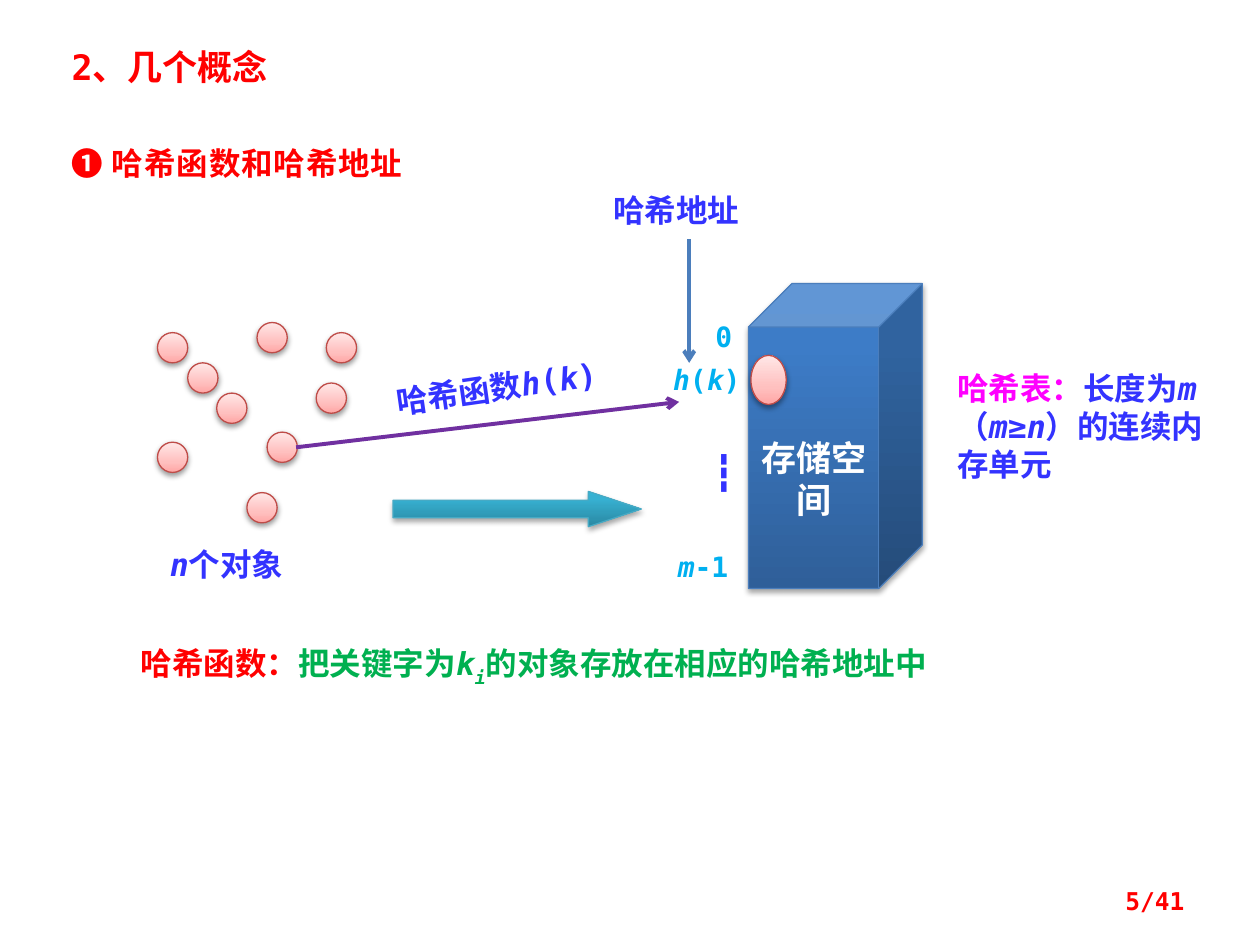
from copy import deepcopy

from lxml.etree import SubElement
from pptx import Presentation
from pptx.dml.color import RGBColor
from pptx.enum.lang import MSO_LANGUAGE_ID
from pptx.enum.shapes import MSO_CONNECTOR, MSO_SHAPE
from pptx.enum.text import MSO_ANCHOR, PP_ALIGN
from pptx.oxml.ns import qn
from pptx.util import Inches, Pt

RED = RGBColor(0xFF, 0x00, 0x00)
GREEN = RGBColor(0x00, 0xB0, 0x50)
BLUE = RGBColor(0x33, 0x33, 0xFF)
SKY = RGBColor(0x00, 0xB0, 0xF0)
MAGENTA = RGBColor(0xFF, 0x00, 0xFF)
PURPLE = RGBColor(0x70, 0x30, 0xA0)
STEEL = RGBColor(0x4B, 0x7E, 0xBC)
TEAL = RGBColor(0x46, 0xAA, 0xC5)
BRICK = RGBColor(0xBF, 0x4C, 0x48)
WHITE = RGBColor(0xFF, 0xFF, 0xFF)

# Gradients run from the bottom of a shape to its top: (position, colour)
TEAL_FADE = [(0, RGBColor(0x2A, 0x88, 0xA2)), (0.8, RGBColor(0x37, 0xB1, 0xD2)),
             (1, RGBColor(0x34, 0xB4, 0xD6))]
BLUE_FADE = [(0, RGBColor(0x2F, 0x5F, 0x99)), (0.8, RGBColor(0x3D, 0x7C, 0xC7)),
             (1, RGBColor(0x3A, 0x7C, 0xCB))]
PINK_FADE = [(0, RGBColor(0xFF, 0xA6, 0xA5)), (0.35, RGBColor(0xFF, 0xC0, 0xBF)),
             (1, RGBColor(0xFF, 0xE7, 0xE7))]


class Board:
    """A slide on a grid of 100 columns by 75 rows, with one text style."""
    FONT = "DejaVu Sans Mono"
    COLUMNS, ROWS = 100, 75

    def __init__(self, deck):
        self.cell_width = deck.slide_width / self.COLUMNS
        self.cell_height = deck.slide_height / self.ROWS
        self.shapes = deck.slides.add_slide(deck.slide_layouts[6]).shapes

    def grid(self, *lengths):
        """Columns and rows, in turn, as slide lengths."""
        return [round(n * (self.cell_height if i % 2 else self.cell_width))
                for i, n in enumerate(lengths)]

    def add_parts(self, frame, parts, size, align):
        """Each part is (wording, colour) or (wording, colour, mark)."""
        paragraph = frame.paragraphs[0]
        paragraph.alignment = align
        for wording, colour, *marks in parts:
            run = paragraph.add_run()
            run.text = wording
            font = run.font
            font.name, font.size, font.bold = self.FONT, Pt(size), True
            font.color.rgb = colour
            font.language_id = MSO_LANGUAGE_ID.SIMPLIFIED_CHINESE
            font.italic = "italic" in marks or "sub" in marks
            properties = run._r.find(qn("a:rPr"))
            if "sub" in marks:
                properties.set("baseline", "-30000")
            if "spaced" in marks:
                properties.set("spc", "50")

    def text(self, place, parts, size=18, align=PP_ALIGN.LEFT, rotation=0,
             anchor=MSO_ANCHOR.TOP):
        box = self.shapes.add_textbox(*self.grid(*place))
        box.rotation = rotation
        box.text_frame.word_wrap = True
        box.text_frame.vertical_anchor = anchor
        self.add_parts(box.text_frame, parts, size, align)

    def solid(self, kind, place, fade, outline, adjust=(), alpha=38, drop=1.6):
        shape = self.shapes.add_shape(kind, *self.grid(*place))
        for index, value in enumerate(adjust):
            shape.adjustments[index] = value
        shape.line.color.rgb, shape.line.width = outline, Pt(0.75)
        # Three-stop gradient
        shape.fill.gradient()
        shape.fill.gradient_angle = 90
        stops = shape._element.spPr.find(".//" + qn("a:gsLst"))
        stops.append(deepcopy(stops[0]))
        for stop, (position, colour) in zip(shape.fill.gradient_stops, fade):
            stop.position, stop.color.rgb = position, colour
        # Soft shadow below
        shape.shadow.inherit = False
        effects = shape._element.spPr.find(qn("a:effectLst"))
        shadow = SubElement(effects, qn("a:outerShdw"), blurRad=str(Pt(3.1)),
                            dist=str(Pt(drop)), dir="5400000", rotWithShape="0")
        black = SubElement(shadow, qn("a:srgbClr"), val="000000")
        SubElement(black, qn("a:alpha"), val=str(alpha * 1000))
        return shape

    def arrow(self, ends, colour):
        pointer = self.shapes.add_connector(MSO_CONNECTOR.STRAIGHT, *self.grid(*ends))
        pointer.line.color.rgb, pointer.line.width = colour, Pt(2.25)
        properties = pointer._element.spPr
        SubElement(properties.find(qn("a:ln")), qn("a:tailEnd"), type="arrow")
        SubElement(properties, qn("a:effectLst"))


deck = Presentation()
deck.slide_width, deck.slide_height = Inches(10), Inches(7.5)
board = Board(deck)

# Headings and the closing statement
board.text((4.7, 3.1, 25, 4.4), [("2、几个概念", RED)], 20)
board.text((4.7, 10.9, 39.1, 4), [("❶ 哈希函数和哈希地址", RED, "spaced")])
board.text((10.2, 50.6, 70.3, 4), [
    ("哈希函数：", RED), ("把关键字为", GREEN), ("k", GREEN, "italic"),
    ("i", GREEN, "sub"), ("的对象存放在相应的哈希地址中", GREEN)])

# Mapping from objects to storage
board.solid(MSO_SHAPE.RIGHT_ARROW, (31.2, 39, 19.7, 2.8), TEAL_FADE, TEAL,
            (0.5, 1.5), 35, 1.8)
board.text((30.4, 28.7, 19, 4), [
    ("哈希函数", BLUE), ("h", BLUE, "italic"), ("(", BLUE),
    ("k", BLUE, "italic"), (")", BLUE)], rotation=351.9)

# Storage block
storage = board.solid(MSO_SHAPE.CUBE, (59.4, 22.5, 13.8, 24.2), BLUE_FADE, STEEL,
                      (0.25,), 35, 1.8)
storage.text_frame.word_wrap = True
storage.text_frame.vertical_anchor = MSO_ANCHOR.MIDDLE
storage.text_frame.margin_top = board.grid(0, 3.8)[1]
board.add_parts(storage.text_frame, [("存储空间", WHITE)], 20, PP_ALIGN.CENTER)

# Objects
OBJECT_SIZE = 2.4
for column, row in [(12.5, 26.4), (14.9, 28.8), (17.2, 31.2), (20.4, 25.6),
                    (12.5, 35.1), (21.2, 34.3), (25.1, 30.4), (19.6, 39.1),
                    (25.9, 26.4)]:
    board.solid(MSO_SHAPE.OVAL, (column, row, OBJECT_SIZE, OBJECT_SIZE),
                PINK_FADE, BRICK)
board.text((12.5, 42.8, 13.3, 4), [("n", BLUE, "italic"), ("个对象", BLUE)])
board.solid(MSO_SHAPE.OVAL, (59.6, 28.2, 2.8, 3.9), PINK_FADE, BRICK)

# Hash table description
board.text((75, 28.8, 22.7, 10.1), [
    ("哈希表：", MAGENTA), ("长度为", BLUE), ("m", BLUE, "italic"),
    ("（", BLUE), ("m", BLUE, "italic"), ("≥", BLUE), ("n", BLUE, "italic"),
    ("）的连续内存单元", BLUE)])

# Addresses beside the storage block
for place, parts, size in [
    ((55.5, 24.9, 3.9, 3.7), [("0", SKY)], 16),
    ((51.8, 28.3, 8.6, 3.7), [("h", SKY, "italic"), ("(", SKY),
                              ("k", SKY, "italic"), (")", SKY)], 16),
    ((55.5, 35.3, 3.9, 4.4), [("┇", BLUE)], 20),
    ((52.3, 43.1, 7, 3.7), [("m", SKY, "italic"), ("-1", SKY)], 16),
]:
    board.text(place, parts, size, PP_ALIGN.CENTER)
board.text((47.7, 14.7, 14.8, 4), [("哈希地址", BLUE)])

# Pointers to the hash address
board.arrow((54.7, 19, 54.7, 28.8), STEEL)
board.arrow((23.5, 35.5, 53.9, 31.9), PURPLE)

# Page number
board.text((71.7, 69.5, 23.3, 4), [("5/41", RED)], 14, PP_ALIGN.RIGHT,
           anchor=MSO_ANCHOR.MIDDLE)

deck.save("out.pptx")
